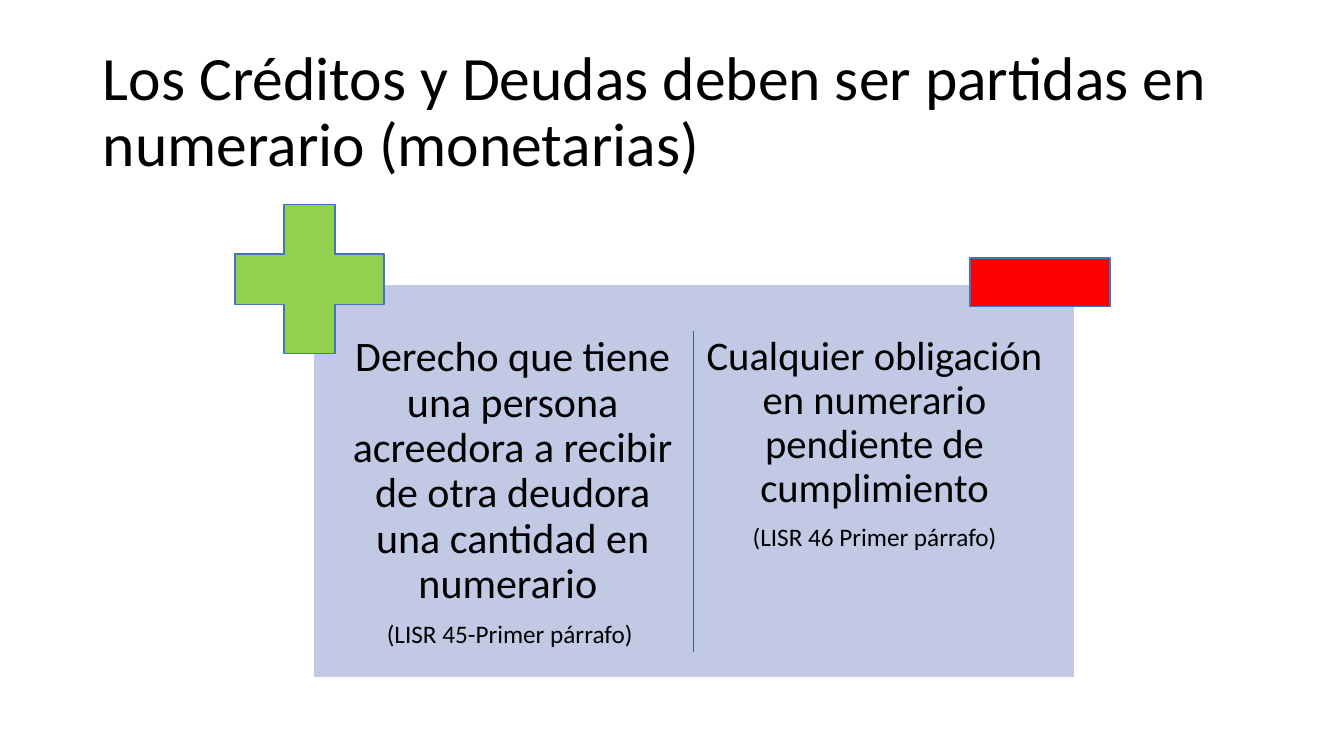
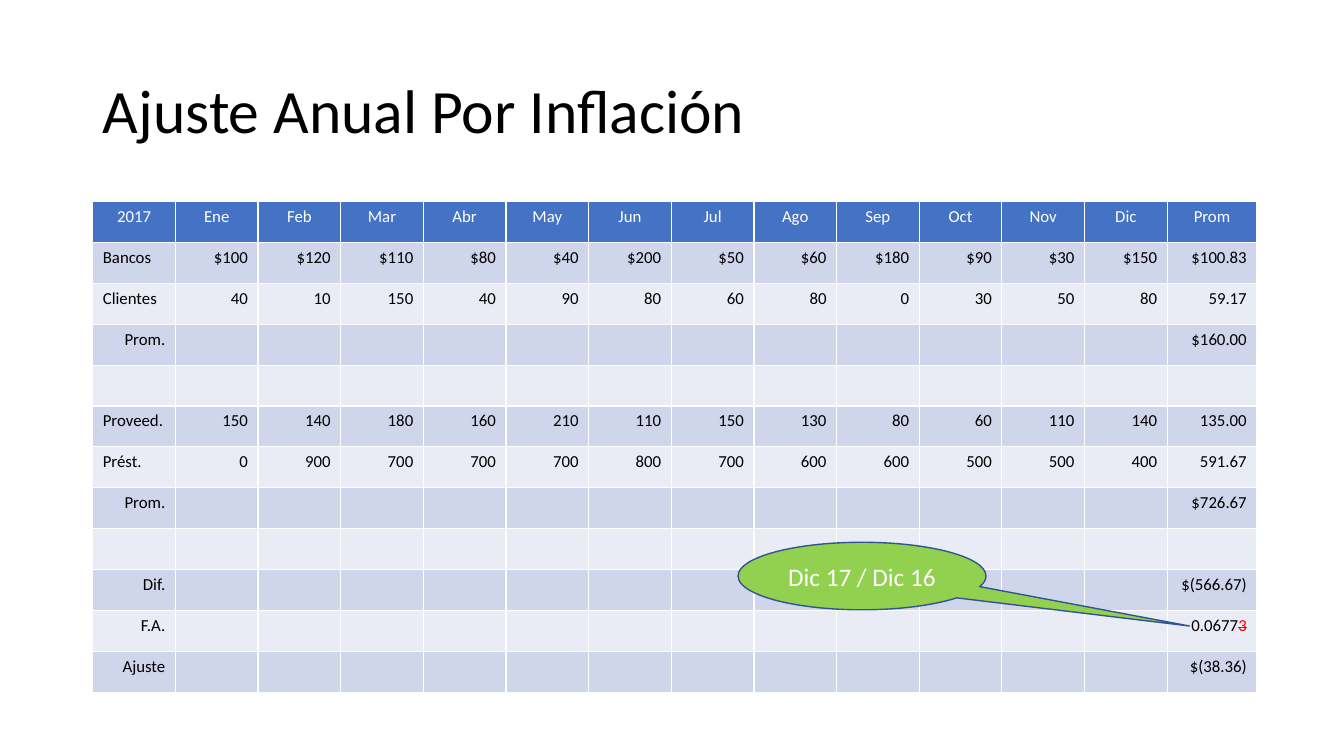
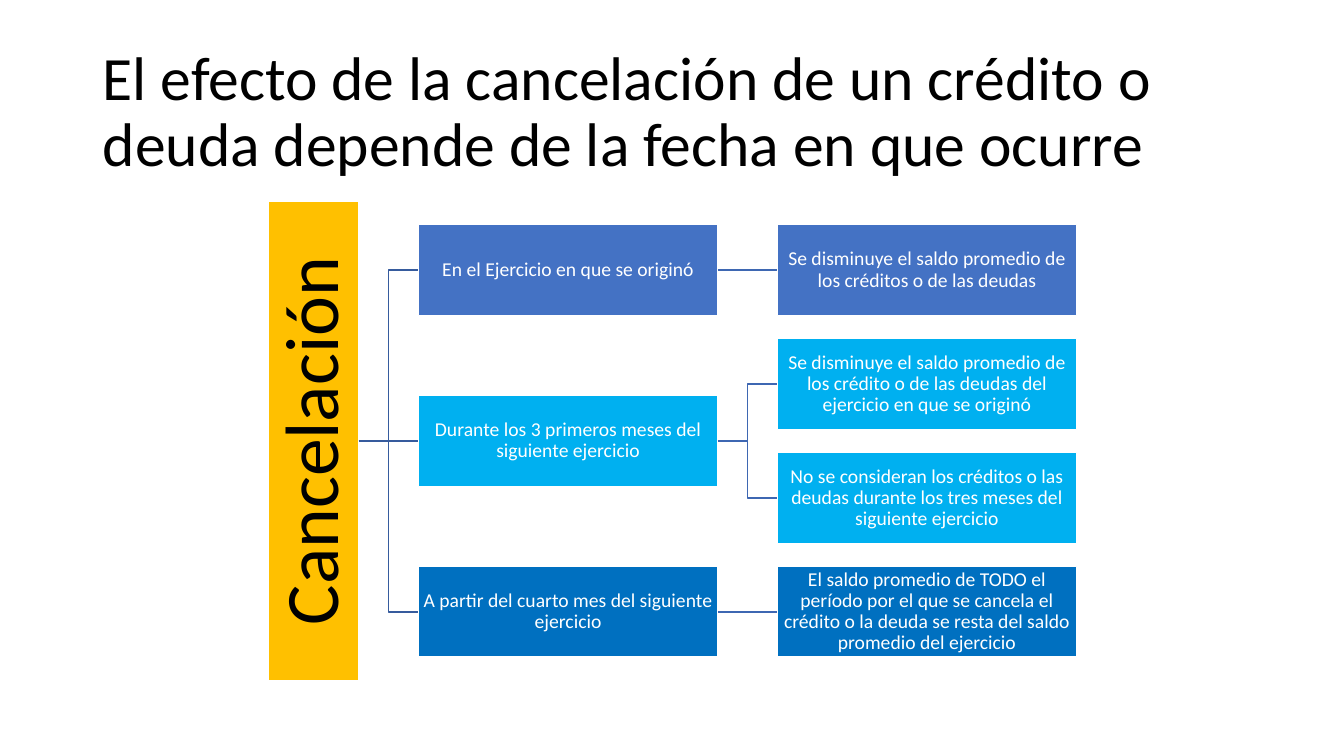
from pptx import Presentation
from pptx.dml.color import RGBColor
from pptx.enum.shapes import MSO_CONNECTOR, MSO_SHAPE
from pptx.enum.text import MSO_ANCHOR, MSO_AUTO_SIZE, PP_ALIGN
from pptx.oxml.ns import qn
from pptx.util import Inches, Pt
from lxml.etree import SubElement

BLUE, SKY, DEEP, GREEN = "4472C4", "00B0F0", "0070C0", "92D050"
WHITE, BLACK, RED, GOLD = "FFFFFF", "000000", "FF0000", "FFC000"


def box(slide, kind, spot, fill, edge):
    shape = slide.shapes.add_shape(kind, *[Inches(n) for n in spot])
    shape.shadow.inherit = False
    shape.fill.solid()
    shape.fill.fore_color.rgb = RGBColor.from_string(fill)
    shape.line.color.rgb = RGBColor.from_string(edge)
    shape.line.width = Pt(1)
    return shape


def put(para, text, size, tint, align=PP_ALIGN.CENTER, pitch=None):
    para.text = text
    para.alignment = align
    para.line_spacing = pitch
    para.font.name = "Calibri"
    para.font.size = Pt(size)
    para.font.bold = False
    para.font.color.rgb = RGBColor.from_string(tint)


deck = Presentation()
deck.slide_width, deck.slide_height = Inches(13.33), Inches(7.5)
for text in [
    "Los Créditos y Deudas deben ser partidas en numerario (monetarias)",
    "Ajuste Anual Por Inflación",
    "El efecto de la cancelación de un crédito o deuda depende de la fecha en que ocurre",
]:
    title = deck.slides.add_slide(deck.slide_layouts[5]).shapes.title
    title.left, title.top = Inches(0.92), Inches(0.4)
    title.width, title.height = Inches(11.5), Inches(1.45)
    frame = title.text_frame
    frame.auto_size = MSO_AUTO_SIZE.NONE
    frame.vertical_anchor = MSO_ANCHOR.MIDDLE
    put(frame.paragraphs[0], text, 44, BLACK, PP_ALIGN.LEFT, 0.9)
pair, sums, tree = deck.slides

box(pair, MSO_SHAPE.RECTANGLE, (3.11, 2.82, 7.55, 3.9), "C1C9E4", WHITE)
for left, size, text, note in [
    (3.33, 30, "Derecho que tiene una persona acreedora a recibir de otra deudora una cantidad en numerario ",
     "(LISR 45-Primer párrafo) "),
    (6.92, 29, "Cualquier obligación en numerario pendiente de cumplimiento",
     "(LISR 46 Primer párrafo)"),
]:
    area = pair.shapes.add_textbox(Inches(left), Inches(3.27), Inches(3.51), Inches(3.34))
    frame = area.text_frame
    frame.word_wrap = True
    frame.margin_left = frame.margin_right = Inches(0.06)
    frame.margin_top = frame.margin_bottom = Inches(0.06)
    put(frame.paragraphs[0], text, size, BLACK, pitch=0.9)
    frame.paragraphs[0].space_after = Pt(10)
    put(frame.add_paragraph(), note, 18, BLACK, pitch=0.9)
plus = box(pair, MSO_SHAPE.CROSS, (2.33, 2.03, 1.48, 1.48), GREEN, BLUE)
plus.adjustments[0] = 0.33
box(pair, MSO_SHAPE.RECTANGLE, (9.62, 2.56, 1.39, 0.48), RED, BLUE)
split = pair.shapes.add_connector(
    MSO_CONNECTOR.STRAIGHT, Inches(6.88), Inches(3.28), Inches(6.88), Inches(6.47))
split.line.color.rgb = RGBColor.from_string("365B9D")
split.line.width = Pt(1)
SubElement(split._element.spPr, qn("a:effectLst"))

blank = [""] * 12
rows = [
    "2017 Ene Feb Mar Abr May Jun Jul Ago Sep Oct Nov Dic Prom".split(),
    "Bancos $100 $120 $110 $80 $40 $200 $50 $60 $180 $90 $30 $150 $100.83".split(),
    "Clientes 40 10 150 40 90 80 60 80 0 30 50 80 59.17".split(),
    ["Prom.", *blank, "$160.00"],
    ["", *blank, ""],
    "Proveed. 150 140 180 160 210 110 150 130 80 60 110 140 135.00".split(),
    "Prést. 0 900 700 700 700 800 700 600 600 500 500 400 591.67".split(),
    ["Prom.", *blank, "$726.67"],
    ["", *blank, ""],
    ["Dif.", *blank, "$(566.67)"],
    ["F.A.", *blank, "0.0677"],
    ["Ajuste", *blank, "$(38.36)"],
]
names = ("Bancos", "Clientes", "Proveed.", "Prést.")
grid = sums.shapes.add_table(
    len(rows), 14, Inches(0.92), Inches(2), Inches(11.55), Inches(4.87)).table
for col in grid.columns:
    col.width = Inches(0.82)
grid.columns[13].width = Inches(0.89)
for i, row in enumerate(rows):
    fill = BLUE if i == 0 else "CFD5EA" if i % 2 else "E9EBF5"
    for j, text in enumerate(row):
        cell = grid.cell(i, j)
        cell.fill.solid()
        cell.fill.fore_color.rgb = RGBColor.from_string(fill)
        align = PP_ALIGN.LEFT if text in names else PP_ALIGN.RIGHT
        put(cell.text_frame.paragraphs[0], text, 12, BLACK if i else WHITE,
            align if i else PP_ALIGN.CENTER)
digit = grid.cell(10, 13).text_frame.paragraphs[0].add_run()
digit.text = "3"
digit.font.color.rgb = RGBColor.from_string(RED)
digit._r.get_or_add_rPr().set("strike", "sngStrike")

call = box(sums, MSO_SHAPE.OVAL_CALLOUT, (7.32, 5.38, 2.46, 0.67), GREEN, "325491")
call.adjustments[0], call.adjustments[1] = 1.32, 0.74
call.text_frame.vertical_anchor = MSO_ANCHOR.MIDDLE
put(call.text_frame.paragraphs[0], "Dic 17 / Dic 16", 18, WHITE)

first, step, high, wide = 2.23, 1.13, 0.9, 2.97
nodes = [("Cancelación", 2.66, 2, high, 4.75, GOLD, None)]
level = 0
for fill, text, leaves in [
    (BLUE, "En el Ejercicio en que se originó",
     ["Se disminuye el saldo promedio de los créditos o de las deudas"]),
    (SKY, "Durante los 3 primeros meses del siguiente ejercicio",
     ["Se disminuye el saldo promedio de los crédito o de las deudas del ejercicio en que se originó",
      "No se consideran los créditos o las deudas durante los tres meses del siguiente ejercicio"]),
    (DEEP, "A partir del cuarto mes del siguiente ejercicio",
     ["El saldo promedio de TODO el período por el que se cancela el crédito o la deuda se resta del saldo promedio del ejercicio"]),
]:
    top = first + step * (level + (len(leaves) - 1) / 2)
    branch = len(nodes)
    nodes.append((text, 4.15, top, wide, high, fill, 0))
    for leaf in leaves:
        nodes.append((leaf, 7.71, first + step * level, wide, high, fill, branch))
        level += 1

made = []
for text, left, top, width, height, fill, root in nodes:
    shape = box(tree, MSO_SHAPE.RECTANGLE, (left, top, width, height), fill, WHITE)
    made.append(shape)
    frame = shape.text_frame
    frame.word_wrap = True
    frame.vertical_anchor = MSO_ANCHOR.MIDDLE
    frame.margin_left = frame.margin_right = Inches(0.01)
    frame.margin_top = frame.margin_bottom = Inches(0.01)
    if root is None:
        frame._txBody.bodyPr.set("vert", "vert270")
        put(frame.paragraphs[0], text, 54, BLACK, pitch=0.9)
        continue
    put(frame.paragraphs[0], text, 14, WHITE, pitch=0.9)
    base = nodes[root]
    shift = top + height / 2 - base[2] - base[4] / 2
    kind = MSO_CONNECTOR.ELBOW if abs(shift) > 0.01 else MSO_CONNECTOR.STRAIGHT
    link = tree.shapes.add_connector(kind, 0, 0, 0, 0)
    link.begin_connect(made[root], 3)
    link.end_connect(shape, 1)
    link.line.color.rgb = RGBColor.from_string("3E67B2" if root else "365B9D")
    link.line.width = Pt(1)
    SubElement(link._element.spPr, qn("a:effectLst"))

deck.save("out.pptx")
